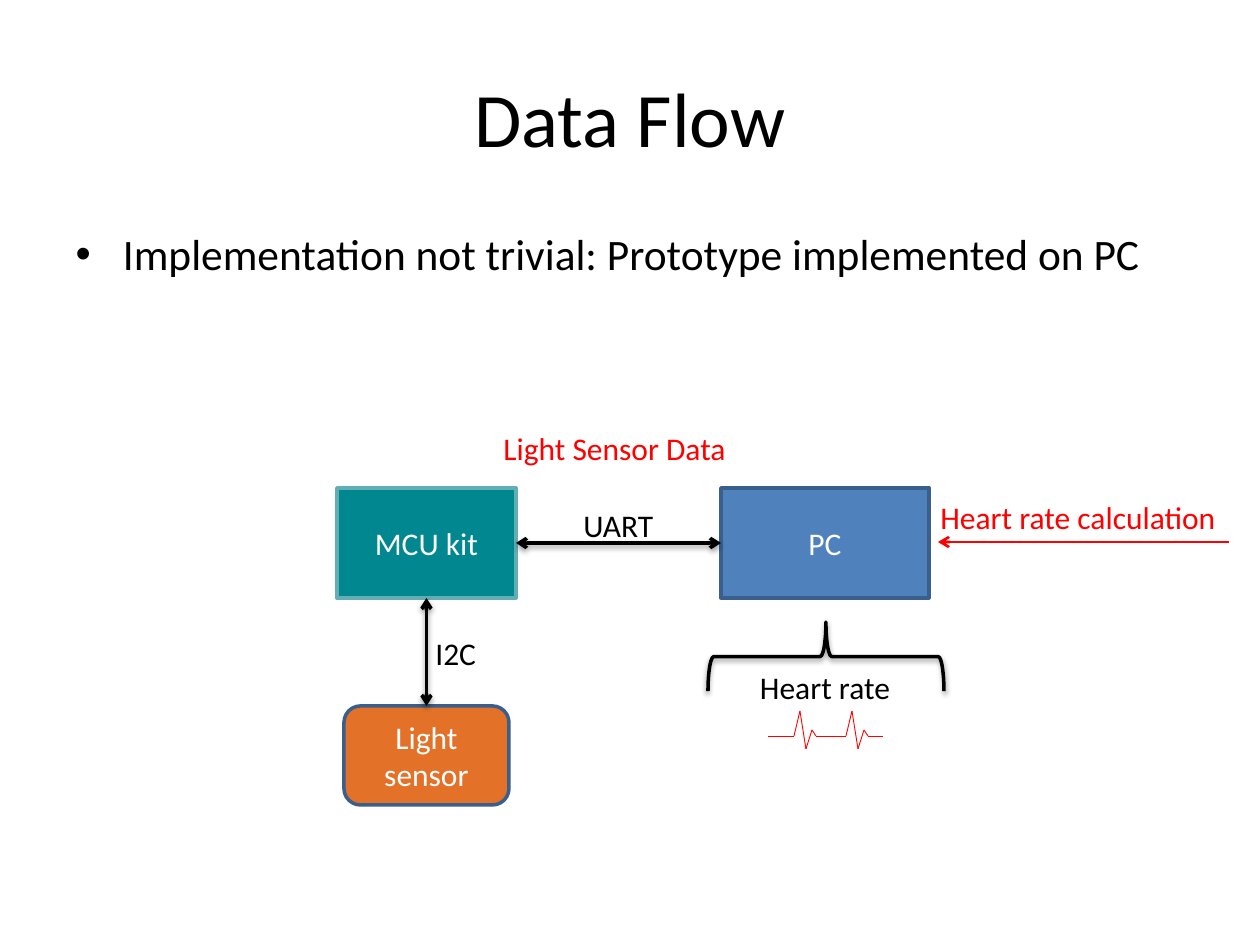
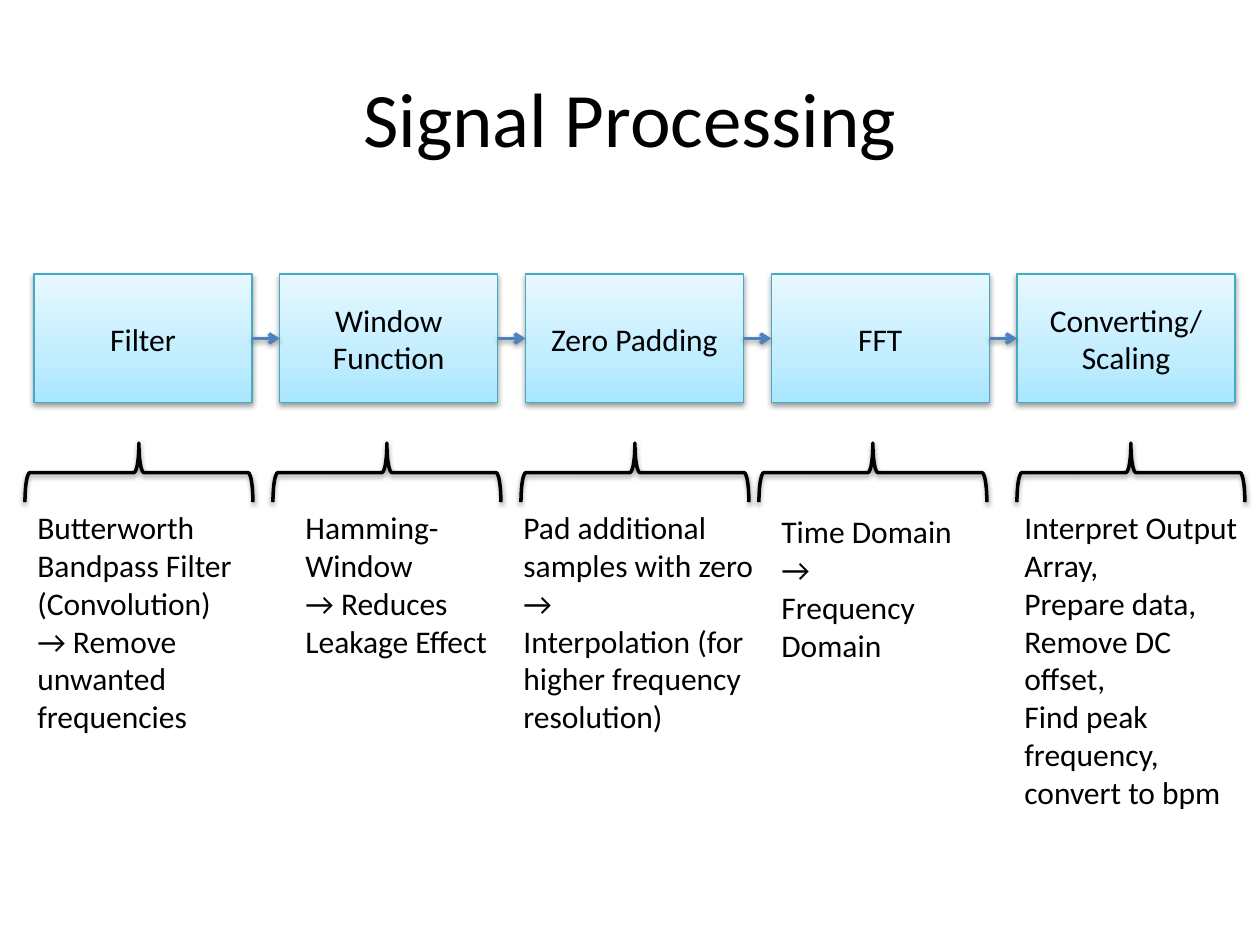
from itertools import pairwise

from lxml import etree
from pptx import Presentation
from pptx.dml.color import RGBColor
from pptx.enum.shapes import MSO_CONNECTOR, MSO_SHAPE
from pptx.enum.text import MSO_ANCHOR, PP_ALIGN
from pptx.oxml.ns import qn
from pptx.util import Emu, Pt

# Shared style
EMU_PER_PX = 914400 / 126
FONT = "Calibri"
COLORS = {
    "ink": "000000", "paper": "FFFFFF", "alert": "FF0000",
    "board": "00878F", "board_edge": "62AEB2", "sensor": "E47128",
    "pc": "4F81BD", "edge": "3A5F8C", "step_edge": "46AAC5",
}
STEP_GRADIENT = [(0, "A7E6FF"), (35, "C1EDFF"), (100, "E7F8FF")]
TITLE_AREA = (63, 38, 1134, 158)
BODY_AREA = (63, 221, 1134, 73)
TITLE_ONLY, TITLE_AND_BODY = 5, 1
TOP, LEFT, BOTTOM, RIGHT = range(4)
NO_TIP, END_TIP, BOTH_TIPS = (), ("tailEnd",), ("headEnd", "tailEnd")

# Content: data flow
FLOW_TITLE = "Data Flow"
FLOW_POINT = "Implementation not trivial: Prototype implemented on PC"
DEVICES = {  # text, outline, area, fill, edge
    "board": ("MCU kit", MSO_SHAPE.RECTANGLE, (337, 488, 179, 110), "board", "board_edge"),
    "sensor": ("Light sensor", MSO_SHAPE.ROUNDED_RECTANGLE, (344, 706, 165, 99), "sensor", "edge"),
    "pc": ("PC", MSO_SHAPE.RECTANGLE, (721, 488, 208, 110), "pc", "edge"),
}
BUSES = [("board", BOTTOM, "sensor", TOP), ("board", RIGHT, "pc", LEFT)]
FLOW_LABELS = [  # text, area, colour, alignment
    ("I2C", (423, 628, 67, 50), "ink", PP_ALIGN.LEFT),
    ("UART", (571, 500, 96, 50), "ink", PP_ALIGN.LEFT),
    ("Heart rate", (746, 662, 158, 50), "ink", PP_ALIGN.CENTER),
    ("Light Sensor Data", (491, 423, 258, 50), "alert", PP_ALIGN.LEFT),
    ("Heart rate calculation", (928, 492, 330, 50), "alert", PP_ALIGN.LEFT),
]
RESULT_BRACE = (708, 622, 236, 69)
RESULT_ARROW = ((1229, 542), (938, 542))
PULSE_START, BEAT_WIDTH, BEAT_COUNT = (768, 736), 52, 2
BEAT = [(0, 0), (26, 0), (32, -25), (38, 13), (44, -6), (48, 0), (63, 0)]

# Content: signal processing
STEPS_TITLE = "Signal Processing"
STEPS = [  # name, brace left, note area (left, top, width, height), note lines
    ("Filter", 25, (25, 502, 242, 242),
     ["Butterworth Bandpass Filter", "(Convolution)", "→ Remove unwanted frequencies"]),
    ("Window Function", 273, (293, 502, 218, 165),
     ["Hamming-Window", "→ Reduces Leakage Effect"]),
    ("Zero Padding", 521, (511, 502, 258, 242),
     ["Pad additional samples with zero →", "Interpolation (for higher frequency resolution)"]),
    ("FFT", 759, (769, 506, 218, 165),
     ["Time Domain →", "Frequency Domain"]),
    ("Converting/\nScaling", 1017, (1012, 502, 243, 318),
     ["Interpret Output Array,", "Prepare data,", "Remove DC offset,",
      "Find peak frequency, convert to bpm"]),
]
STEP_LEFT, STEP_TOP, STEP_WIDTH, STEP_HEIGHT = 34, 274, 218, 129
LAST_STEP_LEFT = 1017
STEP_BRACE_TOP, STEP_BRACE_WIDTH, STEP_BRACE_HEIGHT = 443, 228, 59


def px(*lengths):
    return [Emu(round(length * EMU_PER_PX)) for length in lengths]


def rgb(name):
    return RGBColor.from_string(COLORS[name])


def write(shape, text, color, size=18, align=None):
    frame = shape.text_frame
    frame.text = text
    for paragraph in frame.paragraphs:
        paragraph.alignment = align
        for run in paragraph.runs:
            run.font.name, run.font.size = FONT, Pt(size)
            run.font.color.rgb = rgb(color)


def set_line(shape, color, width):
    shape.line.color.rgb = rgb(color)
    shape.line.width = Pt(width)


def set_effects(shape, shadow):
    properties = shape._element.spPr
    for old in properties.findall(qn("a:effectLst")):
        properties.remove(old)
    effects = etree.SubElement(properties, qn("a:effectLst"))
    if shadow:
        outer = etree.SubElement(effects, qn("a:outerShdw"), blurRad="40000",
                                 dist="20000", dir="5400000", rotWithShape="0")
        black = etree.SubElement(outer, qn("a:srgbClr"), val=COLORS["ink"])
        etree.SubElement(black, qn("a:alpha"), val="38000")


def fill_step(shape):
    shape.fill.gradient()
    shape.fill.gradient_angle = 90
    stops = shape._element.spPr.find(".//" + qn("a:gsLst"))
    for old in list(stops):
        stops.remove(old)
    for position, color in STEP_GRADIENT:
        stop = etree.SubElement(stops, qn("a:gs"), pos=str(position * 1000))
        etree.SubElement(stop, qn("a:srgbClr"), val=color)


def add_titled_slide(deck, layout, title):
    slide = deck.slides.add_slide(deck.slide_layouts[layout])
    heading = slide.shapes.title
    heading.left, heading.top, heading.width, heading.height = px(*TITLE_AREA)
    heading.text_frame.vertical_anchor = MSO_ANCHOR.MIDDLE
    write(heading, title, "ink", 44, PP_ALIGN.CENTER)
    return slide


def add_box(slide, text, outline, area, text_color, edge, width):
    box = slide.shapes.add_shape(outline, *px(*area))
    set_line(box, edge, width)
    write(box, text, text_color, align=PP_ALIGN.CENTER)
    return box


def add_label(slide, text, area, color="ink", align=PP_ALIGN.LEFT, wrap=True):
    label = slide.shapes.add_textbox(*px(*area))
    label.text_frame.word_wrap = wrap
    write(label, text, color, align=align)


def add_brace(slide, left, top, width, height):
    """Upward brace that covers the given area once it is turned."""
    shift = (width - height) / 2
    brace = slide.shapes.add_shape(MSO_SHAPE.RIGHT_BRACE,
                                   *px(left + shift, top - shift, height, width))
    brace.rotation = 270
    brace.fill.background()
    set_line(brace, "ink", 2)
    set_effects(brace, shadow=True)


def add_link(slide, color, width, start=(0, 0), end=(0, 0), joins=None,
             tips=END_TIP, shadow=False):
    link = slide.shapes.add_connector(MSO_CONNECTOR.STRAIGHT, *px(*start, *end))
    if joins:
        source, source_side, target, target_side = joins
        link.begin_connect(source, source_side)
        link.end_connect(target, target_side)
    set_line(link, color, width)
    line = link._element.spPr.find(qn("a:ln"))
    for tip in tips:
        etree.SubElement(line, qn("a:" + tip), type="arrow")
    set_effects(link, shadow)


def add_pulse(slide):
    left, base = PULSE_START
    for beat in range(BEAT_COUNT):
        points = [(left + beat * BEAT_WIDTH + x, base + y) for x, y in BEAT]
        for start, end in pairwise(points):
            add_link(slide, "alert", 0.5, start, end, tips=NO_TIP)


def build_data_flow(deck):
    slide = add_titled_slide(deck, TITLE_AND_BODY, FLOW_TITLE)
    body = slide.placeholders[1]
    body.left, body.top, body.width, body.height = px(*BODY_AREA)
    write(body, FLOW_POINT, "ink", 24.8)

    # Devices and the buses between them
    devices = {}
    for key, (text, outline, area, fill, edge) in DEVICES.items():
        device = add_box(slide, text, outline, area, "paper", edge, 2)
        device.fill.solid()
        device.fill.fore_color.rgb = rgb(fill)
        set_effects(device, shadow=False)
        devices[key] = device
    for source, source_side, target, target_side in BUSES:
        add_link(slide, "ink", 2, tips=BOTH_TIPS, shadow=True,
                 joins=(devices[source], source_side, devices[target], target_side))

    # Labels and the heart rate result
    for text, area, color, align in FLOW_LABELS:
        add_label(slide, text, area, color, align, wrap=False)
    add_brace(slide, *RESULT_BRACE)
    add_pulse(slide)
    add_link(slide, "alert", 1.5, *RESULT_ARROW)


def build_signal_processing(deck):
    slide = add_titled_slide(deck, TITLE_ONLY, STEPS_TITLE)
    pitch = (LAST_STEP_LEFT - STEP_LEFT) / (len(STEPS) - 1)
    previous = None
    for index, (name, brace_left, note_area, note) in enumerate(STEPS):
        area = (STEP_LEFT + index * pitch, STEP_TOP, STEP_WIDTH, STEP_HEIGHT)
        step = add_box(slide, name, MSO_SHAPE.RECTANGLE, area, "ink", "step_edge", 0.75)
        fill_step(step)
        set_effects(step, shadow=True)
        if previous:
            add_link(slide, "pc", 2, joins=(previous, RIGHT, step, LEFT), shadow=True)
        previous = step
        add_brace(slide, brace_left, STEP_BRACE_TOP, STEP_BRACE_WIDTH, STEP_BRACE_HEIGHT)
        add_label(slide, "\n".join(note), note_area)


def main():
    deck = Presentation()
    deck.slide_width, deck.slide_height = px(1260, 945)
    build_data_flow(deck)
    build_signal_processing(deck)
    deck.save("out.pptx")


if __name__ == "__main__":
    main()
